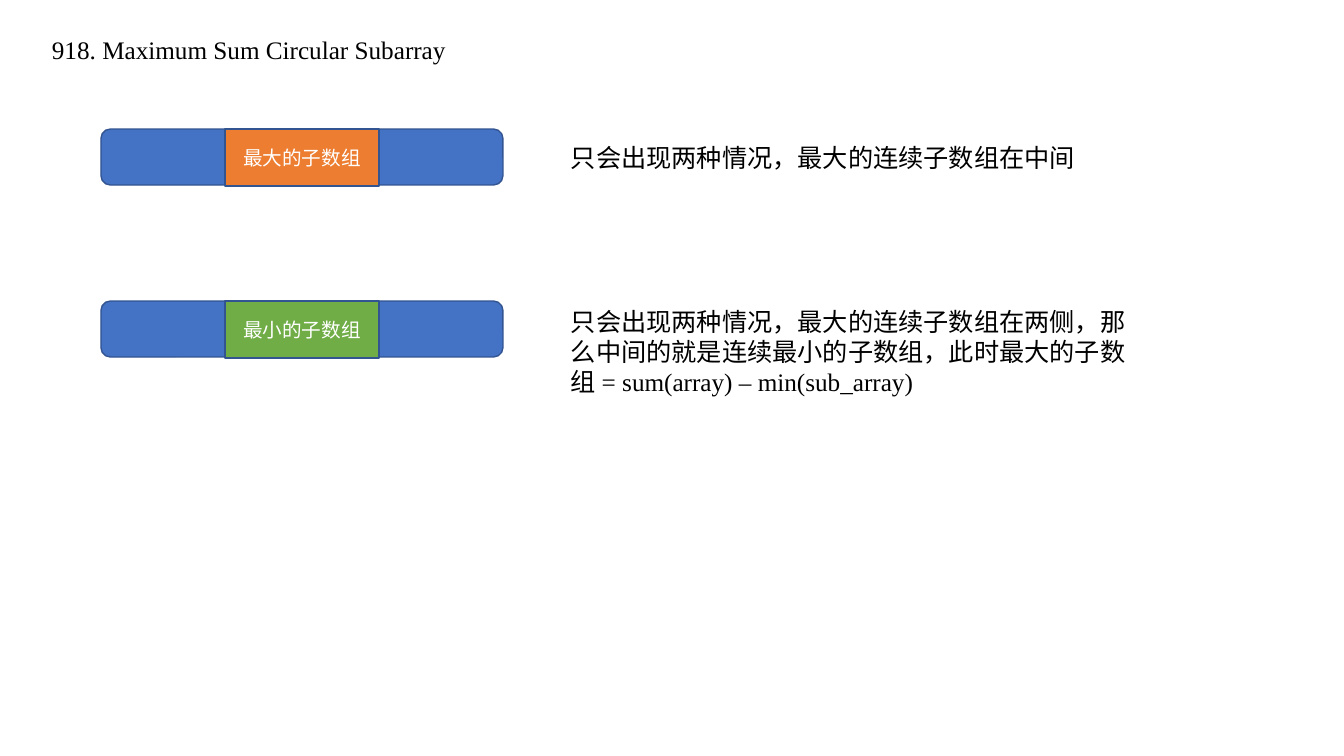
from lxml.etree import SubElement as Sub
from pptx import Presentation
from pptx.dml.color import RGBColor as RGB
from pptx.enum.shapes import MSO_SHAPE as Shape
from pptx.enum.text import MSO_ANCHOR as Anchor, PP_ALIGN as Align
from pptx.oxml.ns import qn
from pptx.util import Pt

TITLE = "918. Maximum Sum Circular Subarray"
# top of bar, label, fill of middle part, note, top and height of note
CASES = [
    (129, "最大的子数组", "orange", "只会出现两种情况，最大的连续子数组在中间", 137, 40),
    (301, "最小的子数组", "green",
     "只会出现两种情况，最大的连续子数组在两侧，那么中间的就是连续最小的子数组，"
     "此时最大的子数组 = sum(array) – min(sub_array)", 301, 102),
]
COLORS = {"blue": "4472C4", "orange": "ED7D31", "green": "70AD47",
          "edge": "325491", "black": "000000", "white": "FFFFFF"}
LATIN, HAN = "Times New Roman", "Noto Sans CJK SC"
PX = 914400 / 100.8


def emu(*sizes):
    """Turn pixels into EMU."""
    return [round(size * PX) for size in sizes]


def color(name):
    """Look up a colour by name."""
    return RGB.from_string(COLORS[name])


def write(frame, text, size, ink, face):
    """Fill a text frame and style its run."""
    frame.word_wrap = True
    frame.text = text
    run = frame.paragraphs[0].runs[0]
    run.font.size = Pt(size)
    run.font.color.rgb = color(ink)
    run.font.name = face
    Sub(run.font._element, qn("a:ea"), typeface=HAN)


def note(slide, text, *box):
    """Add a plain text box."""
    frame = slide.shapes.add_textbox(*emu(*box)).text_frame
    write(frame, text, 18, "black", LATIN)


def block(slide, kind, fill, *box):
    """Add a filled, outlined shape."""
    shape = slide.shapes.add_shape(kind, *emu(*box))
    shape.shadow.inherit = False
    shape.fill.solid()
    shape.fill.fore_color.rgb = color(fill)
    shape.line.color.rgb = color("edge")
    shape.line.width = Pt(1)
    return shape


def label(shape, text):
    """Centre a white label in a shape."""
    frame = shape.text_frame
    write(frame, text, 14, "white", HAN)
    frame.vertical_anchor = Anchor.MIDDLE
    frame.paragraphs[0].alignment = Align.CENTER


deck = Presentation()
deck.slide_width, deck.slide_height = emu(1344, 756)
slide = deck.slides.add_slide(deck.slide_layouts[6])

note(slide, TITLE, 42, 29, 520, 40)
for top, name, fill, text, y, high in CASES:
    block(slide, Shape.ROUNDED_RECTANGLE, "blue", 101, top, 402, 56)
    label(block(slide, Shape.RECTANGLE, fill, 225, top, 154, 57), name)
    note(slide, text, 561, y, 575, high)

deck.save("out.pptx")
